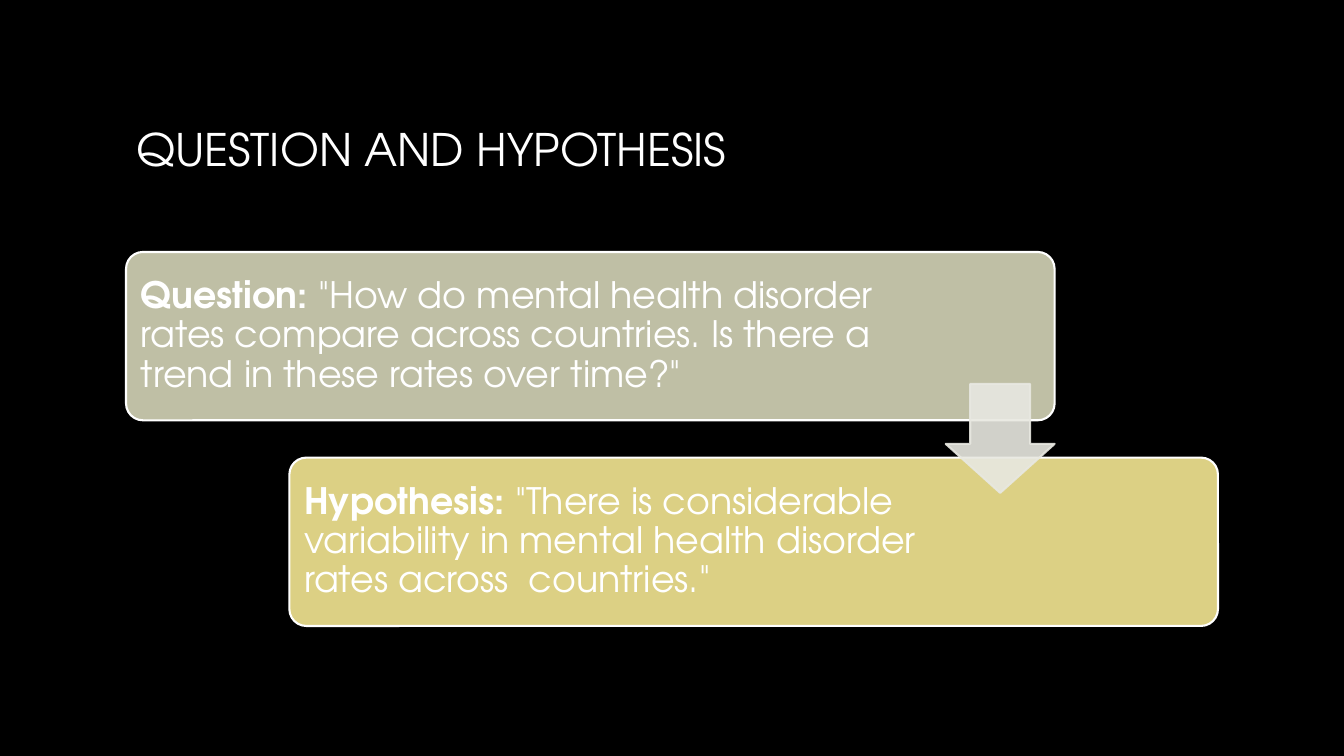
from dataclasses import dataclass

from lxml import etree
from pptx import Presentation
from pptx.dml.color import RGBColor
from pptx.enum import shapes, text
from pptx.oxml.ns import qn
from pptx.util import Inches, Pt


@dataclass(frozen=True)
class Theme:
    font: str = "TeX Gyre Adventor"
    background: str = "000000"
    ink: str = "FFFFFF"
    question: str = "BFBFA5"
    hypothesis: str = "DCD084"
    arrow: str = "E8E8E1"
    title_size: int = 32
    body_size: int = 26
    outline: float = 1.5


class SlideBuilder:
    def __init__(self, slide, theme):
        self.slide = slide
        self.theme = theme
        slide.background.fill.solid()
        slide.background.fill.fore_color.rgb = RGBColor.from_string(theme.background)

    def add_run(self, paragraph, wording, size, bold=False):
        run = paragraph.add_run()
        run.text = wording
        run.font.name = self.theme.font
        run.font.size = Pt(size)
        run.font.bold = bold
        run.font.color.rgb = RGBColor.from_string(self.theme.ink)

    def add_title(self, wording, left, top, width, height):
        title = self.slide.shapes.title
        title.left, title.top = Inches(left), Inches(top)
        title.width, title.height = Inches(width), Inches(height)
        frame = title.text_frame
        frame.word_wrap = True
        frame.vertical_anchor = text.MSO_ANCHOR.MIDDLE
        paragraph = frame.paragraphs[0]
        paragraph.alignment = text.PP_ALIGN.LEFT
        self.add_run(paragraph, wording, self.theme.title_size)

    def add_shape(self, preset, left, top, width, height, adjustments, fill, line):
        shape = self.slide.shapes.add_shape(
            preset, Inches(left), Inches(top), Inches(width), Inches(height))
        for index, value in enumerate(adjustments):
            shape.adjustments[index] = value
        shape.shadow.inherit = False
        shape.fill.solid()
        shape.fill.fore_color.rgb = RGBColor.from_string(fill)
        shape.line.color.rgb = RGBColor.from_string(line)
        shape.line.width = Pt(self.theme.outline)
        return shape

    def add_card(self, label, statement, left, top, width, height, fill, right_inset):
        """Rounded box with a bold label; the right inset keeps text off the arrow."""
        card = self.add_shape(shapes.MSO_SHAPE.ROUNDED_RECTANGLE, left, top, width,
                              height, [0.1], fill, self.theme.ink)
        frame = card.text_frame
        frame.word_wrap = True
        frame.vertical_anchor = text.MSO_ANCHOR.MIDDLE
        frame.margin_left = frame.margin_top = frame.margin_bottom = Inches(0.1)
        frame.margin_right = Inches(right_inset)
        paragraph = frame.paragraphs[0]
        paragraph.alignment = text.PP_ALIGN.LEFT
        paragraph.line_spacing = 0.9
        self.add_run(paragraph, label, self.theme.body_size, bold=True)
        self.add_run(paragraph, statement, self.theme.body_size)

    def add_down_arrow(self, left, top, side, opacity):
        arrow = self.add_shape(shapes.MSO_SHAPE.DOWN_ARROW, left, top, side, side,
                               [0.55, 0.45], self.theme.arrow, self.theme.arrow)
        for color in arrow.element.spPr.iter(qn("a:srgbClr")):
            etree.SubElement(color, qn("a:alpha"), val=str(opacity * 1000))


def main():
    deck = Presentation()
    deck.slide_width, deck.slide_height = Inches(13.33), Inches(7.5)
    theme = Theme()
    builder = SlideBuilder(deck.slides.add_slide(deck.slide_layouts[5]), theme)

    left, content_width = 1.25, 10.83
    card_width, card_height = 9.21, 1.67
    card_top, card_step = 2.5, 2.04
    indent = content_width - card_width
    arrow_side = 1.08

    builder.add_title("QUESTION AND HYPOTHESIS", left, 0.67, content_width, 1.61)
    cards = [
        ("Question:",
         ' "How do mental health disorder rates compare across countries. '
         'Is there a trend in these rates over time?"',
         theme.question, 1.7),
        ("Hypothesis:",
         ' "There is considerable variability in mental health disorder '
         'rates across  countries."',
         theme.hypothesis, 2.8),
    ]
    for step, (label, statement, fill, right_inset) in enumerate(cards):
        builder.add_card(label, statement, left + step * indent,
                         card_top + step * card_step, card_width, card_height,
                         fill, right_inset)
    builder.add_down_arrow(left + card_width - arrow_side, 3.81, arrow_side, opacity=90)

    deck.save("out.pptx")


if __name__ == "__main__":
    main()
